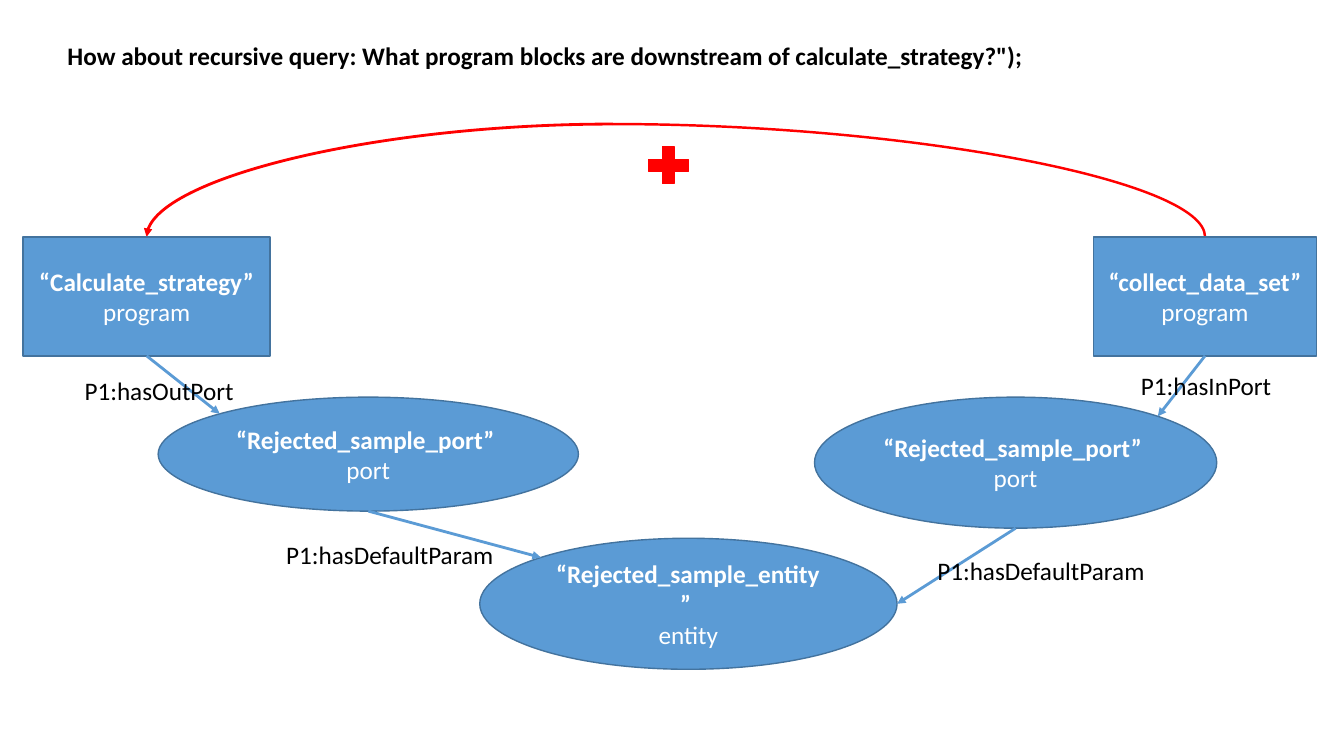
"""Build a slide showing program blocks, ports and an entity linked by provenance relations."""
from math import cos, radians, sin

from lxml import etree
from pptx import Presentation
from pptx.dml.color import RGBColor
from pptx.enum.shapes import MSO_CONNECTOR as Line, MSO_SHAPE as Shape
from pptx.enum.text import MSO_ANCHOR as Anchor, MSO_AUTO_SIZE as AutoSize, PP_ALIGN as Align
from pptx.oxml.ns import qn
from pptx.util import Pt

FONT, BLUE, EDGE, RED = "Calibri", "5B9BD5", "43739E", "FF0000"
BLACK, WHITE = "000000", "FFFFFF"
QUESTION = 'How about recursive query: What program blocks are downstream of calculate_strategy?");'

NODES = {
    "strategy": (Shape.RECTANGLE, "“Calculate_strategy”", "program", (16.5, 169.2, 176.5, 85)),
    "collect": (Shape.RECTANGLE, "“collect_data_set”", "program", (781.2, 169.2, 159.1, 85)),
    "in_port": (Shape.OVAL, "“Rejected_sample_port” ", "port", (581.8, 283.7, 287.3, 93.6)),
    "entity": (Shape.OVAL, "“Rejected_sample_entity” ", "entity", (342.7, 384.5, 298.1, 93.6)),
    "out_port": (Shape.OVAL, "“Rejected_sample_port” ", "port", (113, 283.7, 300.2, 81.4)),
}
RELATIONS = [
    ("strategy", "out_port", 225, "P1:hasOutPort", (53.3, 264.3)),
    ("collect", "in_port", 315, "P1:hasInPort", (807.8, 260.7)),
    ("out_port", "entity", 225, "P1:hasDefaultParam", (197.3, 381.6)),
    ("in_port", "entity", 0, "P1:hasDefaultParam", (662.4, 393.1)),
]
APEX = (437.8, 88.6)
ARCS = [("strategy", 2, True), ("collect", 1.75, False)]
PLUS = (457.9, 100.1, 38.9, 36)
LABEL_SIZE = (206, 29)


def color(value):
    return RGBColor.from_string(value)


def points(values):
    return [Pt(value) for value in values]


def style(paragraph, hue, bold=False):
    font = paragraph.font
    font.name, font.size, font.bold = FONT, Pt(18), bold
    font.color.rgb = color(hue)


def add_block(slide, kind, box, fill, edge):
    block = slide.shapes.add_shape(kind, *points(box))
    block.shadow.inherit = False
    block.fill.solid()
    block.fill.fore_color.rgb = color(fill)
    block.line.color.rgb = color(edge)
    block.line.width = Pt(1)
    return block


def add_node(slide, kind, title, role, box):
    node = add_block(slide, kind, box, BLUE, EDGE)
    frame = node.text_frame
    frame.text = f"{title}\n{role}"
    frame.vertical_anchor = Anchor.MIDDLE
    for paragraph, bold in zip(frame.paragraphs, (True, False)):
        paragraph.alignment = Align.CENTER
        style(paragraph, WHITE, bold)
    return node


def add_link(slide, kind, start, end, hue, width, arrow=True):
    link = slide.shapes.add_connector(kind, *points(start + end))
    link.line.color.rgb = color(hue)
    link.line.width = Pt(width)
    properties = link._element.spPr
    if arrow:
        etree.SubElement(properties.find(qn("a:ln")), qn("a:tailEnd"), type="triangle")
    etree.SubElement(properties, qn("a:effectLst"))
    return link


def rim(name, angle):
    left, top, width, height = NODES[name][3]
    return (left + width / 2 * (1 + cos(radians(angle))),
            top + height / 2 * (1 + sin(radians(angle))))


def add_label(slide, text, corner):
    frame = slide.shapes.add_textbox(*points(corner + LABEL_SIZE)).text_frame
    frame.word_wrap = True
    frame.text = text
    style(frame.paragraphs[0], BLACK)


def add_question(slide):
    title = slide.shapes.title
    title.left, title.top, title.width, title.height = points((41, 25.2, 819.4, 51.1))
    frame = title.text_frame
    frame.text = QUESTION
    frame.word_wrap, frame.auto_size = True, AutoSize.NONE
    frame.vertical_anchor = Anchor.TOP
    frame.paragraphs[0].alignment = Align.LEFT
    style(frame.paragraphs[0], BLACK, True)


def main():
    deck = Presentation()
    deck.slide_width, deck.slide_height = Pt(960), Pt(540)
    slide = deck.slides.add_slide(deck.slide_layouts[5])
    add_question(slide)

    for program, width, arrow in ARCS:
        arc = add_link(slide, Line.CURVE, APEX, rim(program, 270), RED, width, arrow)
        arc._element.spPr.find(qn("a:prstGeom")).set("prst", "curvedConnector2")
    add_block(slide, Shape.MATH_PLUS, PLUS, RED, RED)

    nodes = {name: add_node(slide, *node) for name, node in NODES.items()}
    for source, target, angle, _, _ in RELATIONS:
        link = add_link(slide, Line.STRAIGHT, rim(source, 90), rim(target, angle), BLUE, 2)
        if NODES[source][0] == Shape.RECTANGLE:
            link.begin_connect(nodes[source], 2)
    for *_, label, corner in RELATIONS:
        add_label(slide, label, corner)

    deck.save("out.pptx")


if __name__ == "__main__":
    main()
